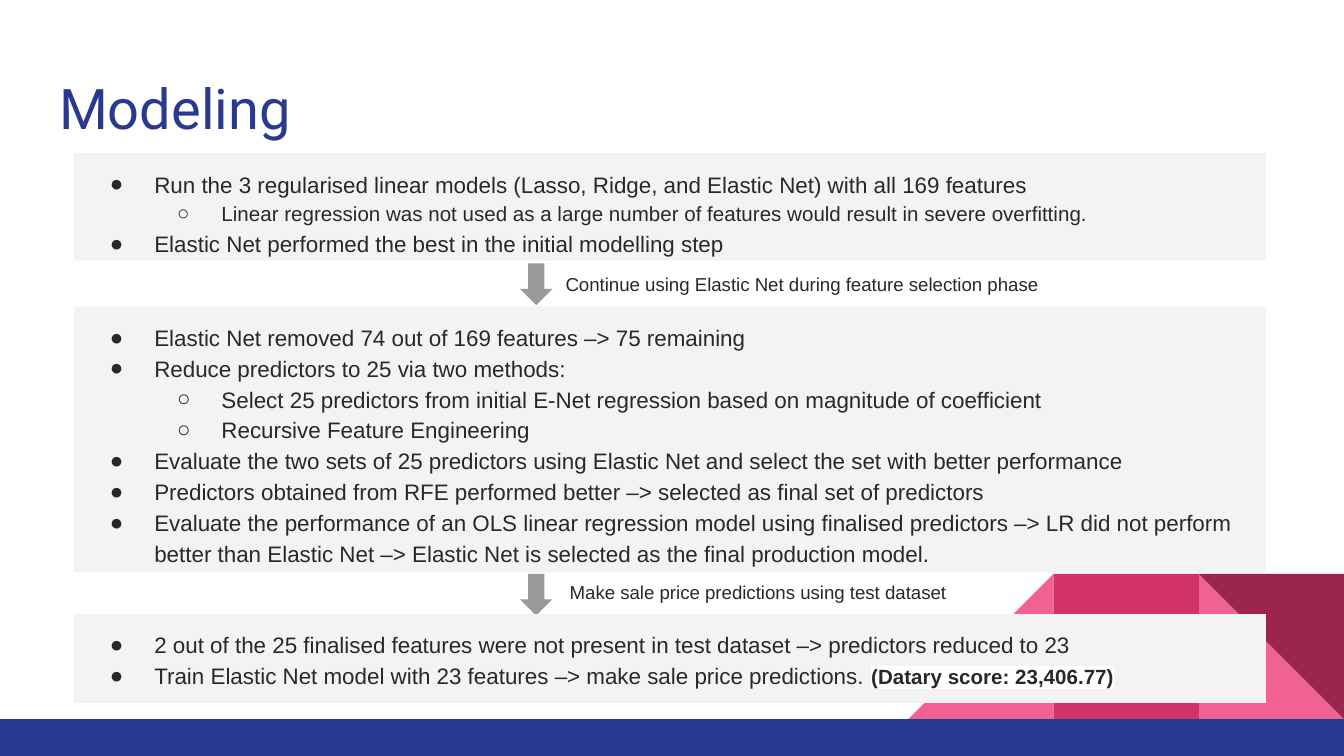
from dataclasses import dataclass

from lxml.etree import SubElement
from pptx import Presentation
from pptx.dml.color import RGBColor
from pptx.enum.shapes import MSO_SHAPE
from pptx.enum.text import MSO_ANCHOR, MSO_AUTO_SIZE, PP_ALIGN
from pptx.oxml.ns import qn
from pptx.util import Inches, Pt

WHITE = RGBColor(0xFF, 0xFF, 0xFF)
NAVY = RGBColor(0x2A, 0x39, 0x90)
INK = RGBColor(0x24, 0x29, 0x2E)
PANEL = RGBColor(0xF3, 0xF3, 0xF3)
GREY = RGBColor(0x99, 0x99, 0x99)
PINK = RGBColor(0xF0, 0x62, 0x92)
ROSE = RGBColor(0xD2, 0x33, 0x69)
WINE = RGBColor(0x9C, 0x25, 0x4D)

BULLETS = ("●", "○")
SLIDE_WIDTH = 10
SLIDE_HEIGHT = SLIDE_WIDTH * 9 / 16
TILE = 1.08
TILE_TOP = 4.27
PANEL_LEFT, PANEL_WIDTH = 0.55, 8.87


@dataclass(frozen=True)
class Item:
    text: str
    level: int = 0
    size: float = 12
    score: str = ""


@dataclass(frozen=True)
class Panel:
    top: float
    height: float
    items: tuple[Item, ...]


@dataclass(frozen=True)
class Step:
    arrow_top: float
    label_left: float
    label_top: float
    text: str


@dataclass(frozen=True)
class Tile:
    column: int
    kind: MSO_SHAPE
    color: RGBColor
    rotation: float = 0
    flipped: bool = False


TILES = (
    Tile(2, MSO_SHAPE.RIGHT_TRIANGLE, PINK),
    Tile(0, MSO_SHAPE.RIGHT_TRIANGLE, PINK, flipped=True),
    Tile(1, MSO_SHAPE.RECTANGLE, ROSE),
    Tile(2, MSO_SHAPE.RIGHT_TRIANGLE, WINE, rotation=180),
)

PANELS = (
    Panel(1.14, 0.8, (
        Item("Run the 3 regularised linear models (Lasso, Ridge, and Elastic Net) with all 169 features"),
        Item("Linear regression was not used as a large number of features would result in "
             "severe overfitting.", level=1, size=11),
        Item("Elastic Net performed the best in the initial modelling step"),
    )),
    Panel(2.28, 1.98, (
        Item("Elastic Net removed 74 out of 169 features –> 75 remaining"),
        Item("Reduce predictors to 25 via two methods:"),
        Item("Select 25 predictors from initial E-Net regression based on magnitude of coefficient", level=1),
        Item("Recursive Feature Engineering", level=1),
        Item("Evaluate the two sets of 25 predictors using Elastic Net and select the set with "
             "better performance"),
        Item("Predictors obtained from RFE performed better –> selected as final set of predictors"),
        Item("Evaluate the performance of an OLS linear regression model using finalised predictors "
             "–> LR did not perform better than Elastic Net –> Elastic Net is selected as the "
             "final production model."),
    )),
    Panel(4.57, 0.66, (
        Item("2 out of the 25 finalised features were not present in test dataset –> predictors reduced to 23"),
        Item("Train Elastic Net model with 23 features –> make sale price predictions. ",
             score="(Datary score: 23,406.77)"),
    )),
)

STEPS = (
    Step(1.96, 4.11, 1.93, "Continue using Elastic Net during feature selection phase"),
    Step(4.27, 4.14, 4.22, "Make sale price predictions using test dataset"),
)


def add_text(paragraph, text: str, *, size: float, font: str = "Arial",
             color: RGBColor = INK, bold: bool = False, highlight: RGBColor | None = None) -> None:
    run = paragraph.add_run()
    run.text = text
    run.font.size = Pt(size)
    run.font.bold = bold
    run.font.color.rgb = color
    if highlight is not None:
        mark = SubElement(run.font._element, qn("a:highlight"))
        SubElement(mark, qn("a:srgbClr")).set("val", str(highlight))
    run.font.name = font


def prepare_frame(shape):
    """Set even insets, wrapping and top anchoring, and return the text frame."""
    frame = shape.text_frame
    frame.word_wrap = True
    frame.auto_size = MSO_AUTO_SIZE.NONE
    frame.vertical_anchor = MSO_ANCHOR.TOP
    frame.margin_left = frame.margin_right = Inches(0.1)
    frame.margin_top = frame.margin_bottom = Inches(0.1)
    return frame


def add_filled_shape(slide, kind: MSO_SHAPE, left: float, top: float,
                     width: float, height: float, color: RGBColor):
    shape = slide.shapes.add_shape(kind, Inches(left), Inches(top), Inches(width), Inches(height))
    shape.shadow.inherit = False
    shape.fill.solid()
    shape.fill.fore_color.rgb = color
    shape.line.fill.background()
    return shape


def set_bullet(paragraph, level: int) -> None:
    paragraph.level = level
    properties = paragraph._p.get_or_add_pPr()
    properties.set("marL", str(Inches(0.5 * (level + 1))))
    properties.set("indent", str(Inches(-0.33)))
    color = SubElement(properties, qn("a:buClr"))
    SubElement(color, qn("a:srgbClr")).set("val", str(INK))
    SubElement(properties, qn("a:buFont")).set("typeface", "Arial")
    SubElement(properties, qn("a:buChar")).set("char", BULLETS[level])


def add_tile(slide, tile: Tile) -> None:
    left = SLIDE_WIDTH - TILE * (3 - tile.column)
    shape = add_filled_shape(slide, tile.kind, left, TILE_TOP, TILE, TILE, tile.color)
    shape.rotation = tile.rotation
    if tile.flipped:
        shape._element.spPr.find(qn("a:xfrm")).set("flipH", "1")


def add_panel(slide, panel: Panel) -> None:
    shape = add_filled_shape(slide, MSO_SHAPE.RECTANGLE, PANEL_LEFT, panel.top,
                             PANEL_WIDTH, panel.height, PANEL)
    frame = prepare_frame(shape)
    for index, item in enumerate(panel.items):
        paragraph = frame.add_paragraph() if index else frame.paragraphs[0]
        paragraph.alignment = PP_ALIGN.LEFT
        paragraph.line_spacing = 1.15
        set_bullet(paragraph, item.level)
        add_text(paragraph, item.text, size=item.size)
        if item.score:
            add_text(paragraph, item.score, size=11, bold=True, highlight=WHITE)


def add_step(slide, step: Step) -> None:
    label = slide.shapes.add_textbox(Inches(step.label_left), Inches(step.label_top),
                                     Inches(4.15), Inches(0.31))
    paragraph = prepare_frame(label).paragraphs[0]
    paragraph.space_after = Pt(12)
    add_text(paragraph, step.text, size=10, highlight=WHITE)
    add_filled_shape(slide, MSO_SHAPE.DOWN_ARROW, 3.87, step.arrow_top, 0.24, 0.31, GREY)


def add_title(slide, text: str) -> None:
    title = slide.shapes.title
    title.left, title.top = Inches(0.34), Inches(0.45)
    title.width, title.height = Inches(9.32), Inches(0.66)
    paragraph = prepare_frame(title).paragraphs[0]
    paragraph.alignment = PP_ALIGN.LEFT
    add_text(paragraph, text, size=30, font="Roboto", color=NAVY)


def main() -> None:
    presentation = Presentation()
    presentation.slide_width = Inches(SLIDE_WIDTH)
    presentation.slide_height = Inches(SLIDE_HEIGHT)
    slide = presentation.slides.add_slide(presentation.slide_layouts[5])
    add_title(slide, "Modeling")
    for tile in TILES:
        add_tile(slide, tile)
    bar_top = TILE_TOP + TILE
    add_filled_shape(slide, MSO_SHAPE.RECTANGLE, 0, bar_top, SLIDE_WIDTH, SLIDE_HEIGHT - bar_top, NAVY)
    for step in STEPS:
        add_step(slide, step)
    for panel in PANELS:
        add_panel(slide, panel)
    presentation.save("out.pptx")


if __name__ == "__main__":
    main()
